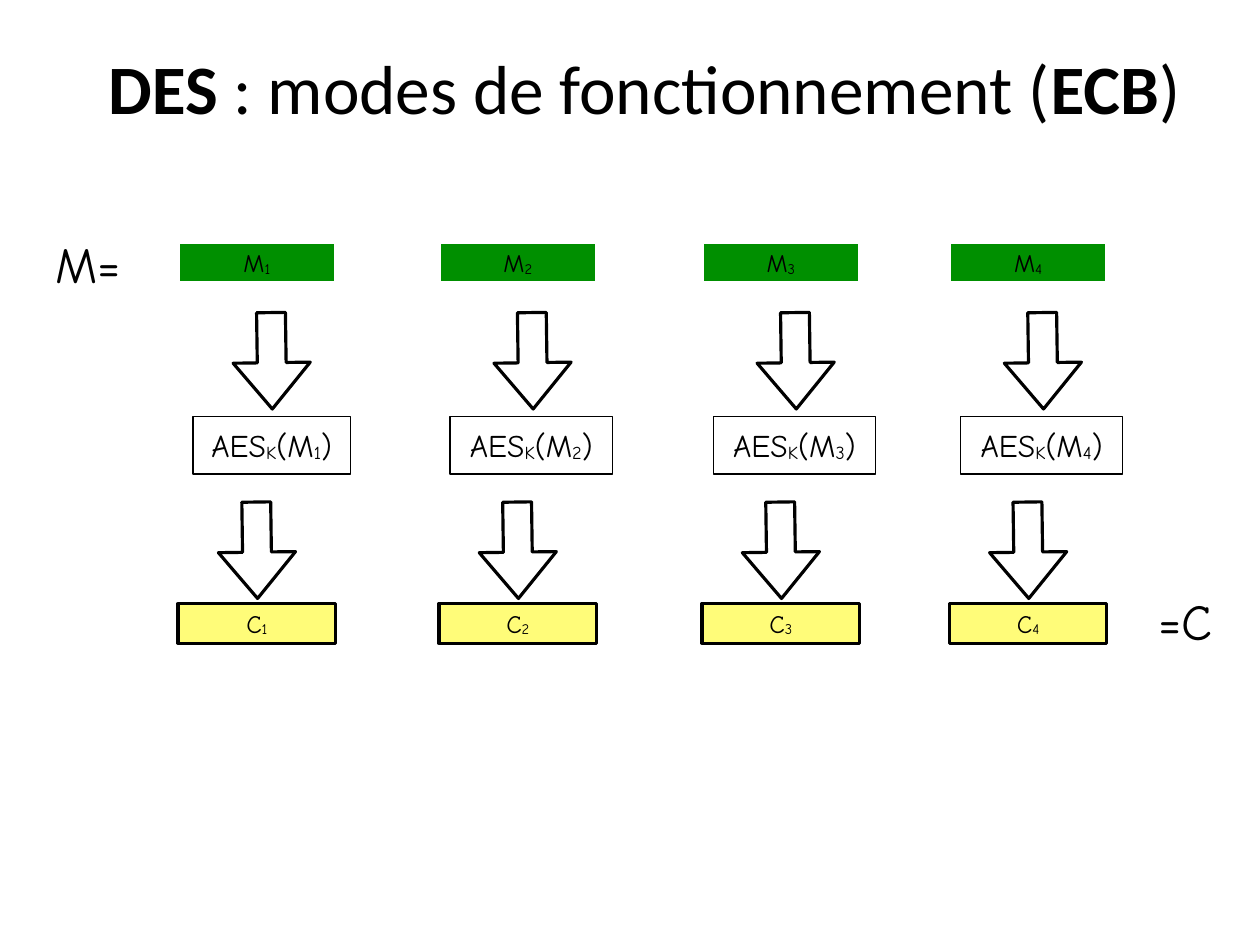
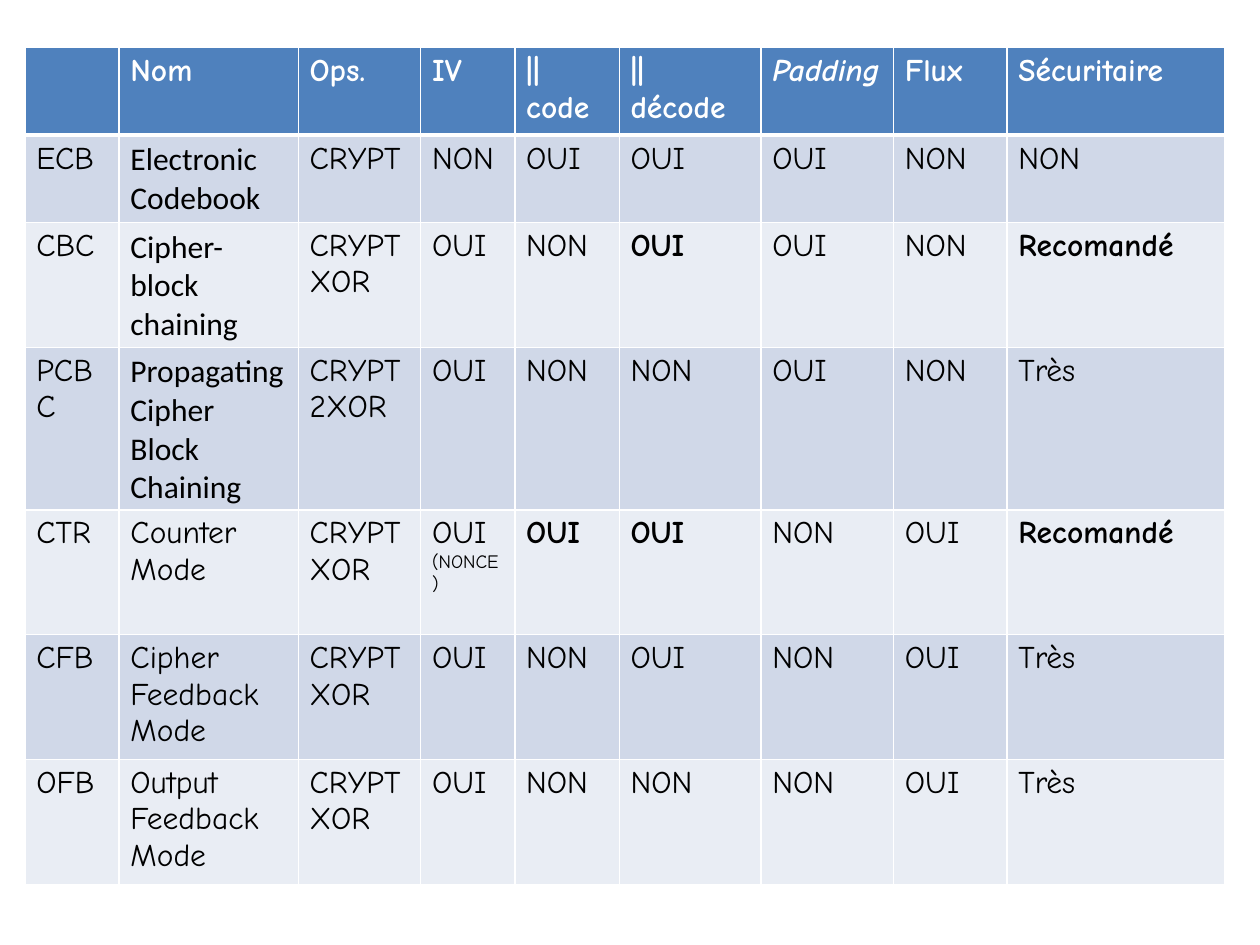
from lxml import etree
from pptx import Presentation
from pptx.dml.color import RGBColor
from pptx.enum.shapes import MSO_SHAPE
from pptx.enum.text import MSO_ANCHOR, PP_ALIGN
from pptx.oxml.ns import qn
from pptx.util import Inches, Pt

RECTANGLE = MSO_SHAPE.RECTANGLE
RIGHT_ARROW = MSO_SHAPE.RIGHT_ARROW
CENTER = PP_ALIGN.CENTER
MIDDLE = MSO_ANCHOR.MIDDLE
TITLE_ONLY, BLANK = 5, 6

COLORS = {
    "text": "000000",
    "white": "FFFFFF",
    "message": "008F00",
    "cipher": "FFFC79",
    "header": "4F81BD",
    "band_dark": "D0D8E8",
    "band_light": "E9EDF4",
}
TITLE_FONT, BODY_FONT = "Calibri", "Comic Neue"
BOLD = {"bold": True}
ITALIC = {"bold": True, "italic": True}
CALIBRI = {"font": TITLE_FONT}
SUB = {"subscript": True}


def color(name):
    return RGBColor.from_string(COLORS[name])


class Deck:
    """Holds the shared style and the slide being built."""

    def __init__(self, width, height):
        self.prs = Presentation()
        self.prs.slide_width = Inches(width)
        self.prs.slide_height = Inches(height)
        self.slide = None

    def new_slide(self, layout):
        self.slide = self.prs.slides.add_slide(self.prs.slide_layouts[layout])

    def style(self, run, size, ink="text", font=BODY_FONT, bold=False,
              italic=False, subscript=False):
        run.font.name = font
        run.font.size = Pt(size)
        run.font.bold = bold
        run.font.italic = italic
        run.font.color.rgb = color(ink)
        if subscript:
            run._r.get_or_add_rPr().set("baseline", "-6000")

    def add_runs(self, paragraph, pieces, size, **common):
        """Add (text, style) pieces to a paragraph as runs."""
        for text, extra in pieces:
            run = paragraph.add_run()
            run.text = text
            self.style(run, size, **{**common, **extra})

    def frame(self, text_frame, inset_x, inset_y):
        text_frame.margin_left = text_frame.margin_right = Inches(inset_x)
        text_frame.margin_top = text_frame.margin_bottom = Inches(inset_y)
        text_frame.vertical_anchor = MIDDLE
        text_frame.word_wrap = True
        text_frame.paragraphs[0].alignment = CENTER

    def title(self, pieces):
        title = self.slide.shapes.title
        title.left, title.top = Inches(0.36), Inches(0.18)
        title.width, title.height = Inches(10.64), Inches(1.17)
        self.frame(title.text_frame, 0.11, 0.06)
        self.add_runs(title.text_frame.paragraphs[0], pieces, 44, font=TITLE_FONT)

    def shape(self, kind, left, top, width, height, fill, line, line_width):
        shape = self.slide.shapes.add_shape(
            kind, Inches(left), Inches(top), Inches(width), Inches(height))
        shape.shadow.inherit = False
        if fill:
            shape.fill.solid()
            shape.fill.fore_color.rgb = color(fill)
        else:
            shape.fill.background()
        shape.line.color.rgb = color(line)
        shape.line.width = Pt(line_width)
        return shape

    def block(self, left, top, width, height, pieces, size, fill=None,
              line="text", line_width=2, inset=0):
        block = self.shape(RECTANGLE, left, top, width, height, fill, line, line_width)
        self.frame(block.text_frame, inset, inset)
        self.add_runs(block.text_frame.paragraphs[0], pieces, size)

    def down_arrow(self, left, top):
        arrow = self.shape(RIGHT_ARROW, left, top, 0.85, 0.68, None, "text", 2)
        arrow.rotation = 89.2
        arrow.adjustments[0] = 0.374
        arrow.adjustments[1] = 0.6

    def label(self, left, top, width, text):
        box = self.slide.shapes.add_textbox(
            Inches(left), Inches(top), Inches(width), Inches(0.64))
        box.text_frame.word_wrap = False
        paragraph = box.text_frame.paragraphs[0]
        paragraph.alignment = CENTER
        self.add_runs(paragraph, [(text, {})], 32)

    def border(self, cell, **widths):
        for side in ("L", "R", "T", "B"):
            line = etree.SubElement(cell._tc.get_or_add_tcPr(), qn(f"a:ln{side}"),
                                    w=str(Pt(widths.get(side, 1))))
            fill = etree.SubElement(line, qn("a:solidFill"))
            etree.SubElement(fill, qn("a:srgbClr"), val=COLORS["white"])

    def table(self, left, top, col_widths, row_heights, rows):
        """Draw rows whose cells are a text or a (text, style) pair."""
        table = self.slide.shapes.add_table(
            len(rows), len(col_widths), Inches(left), Inches(top),
            Inches(sum(col_widths)), Inches(sum(row_heights))).table
        table.horz_banding = False
        for column, width in zip(table.columns, col_widths):
            column.width = Inches(width)
        for r, (row, height) in enumerate(zip(rows, row_heights)):
            table.rows[r].height = Inches(height)
            band = "header" if r == 0 else "band_dark" if r % 2 else "band_light"
            ink = "white" if r == 0 else "text"
            for c, content in enumerate(row):
                cell = table.cell(r, c)
                self.border(cell, B=3 if r == 0 else 1, T=3 if r == 1 else 1)
                cell.fill.solid()
                cell.fill.fore_color.rgb = color(band)
                text, extra = (content, {}) if isinstance(content, str) else content
                cell.text_frame.text = text
                for paragraph in cell.text_frame.paragraphs:
                    for run in paragraph.runs:
                        self.style(run, 20, ink, **extra)
        return table


def ecb_slide(deck):
    deck.new_slide(TITLE_ONLY)
    deck.title([("DES", BOLD), (" : modes de fonctionnement (", {}),
                ("ECB", BOLD), (")", {})])
    # Left of the data block, then left and width of the AES block
    columns = [(1.57, 1.70, 1.39), (3.87, 3.97, 1.43),
               (6.19, 6.29, 1.43), (8.37, 8.47, 1.43)]
    for number, (left, aes_left, aes_width) in enumerate(columns, 1):
        index = (str(number), SUB)
        deck.block(left, 2.14, 1.39, 0.35, [("M", {}), index], 16,
                   fill="message", line="white")
        deck.down_arrow(left + 0.4, 2.84)
        deck.down_arrow(left + 0.27, 4.51)
        deck.block(left, 5.32, 1.39, 0.35, [("C", {}), index], 16, fill="cipher")
        deck.block(aes_left, 3.67, aes_width, 0.51,
                   [("AES", {}), ("K", SUB), ("(M", {}), index, (")", {})], 20,
                   line_width=1, inset=0.04)
    deck.label(0.36, 2.01, 0.84, "M=")
    deck.label(10.06, 5.15, 0.79, "=C")


def comparison_slide(deck):
    deck.new_slide(BLANK)
    header = [""] + [(name, BOLD) for name in (
        "Nom", "Ops.", "IV", "|| code", "|| décode", "Padding", "Flux", "Sécuritaire")]
    header[6] = ("Padding", ITALIC)
    strong_yes, advised = ("OUI", BOLD), ("Recomandé", BOLD)
    rows = [
        header,
        ["ECB", ("Electronic Codebook", CALIBRI), "CRYPT",
         "NON", "OUI", "OUI", "OUI", "NON", "NON"],
        ["CBC", ("Cipher-block chaining", CALIBRI), "CRYPT\nXOR",
         "OUI", "NON", strong_yes, "OUI", "NON", advised],
        ["PCBC", ("Propagating Cipher Block Chaining", CALIBRI), "CRYPT\n2XOR",
         "OUI", "NON", "NON", "OUI", "NON", "Très"],
        ["CTR", "Counter Mode", "CRYPT\nXOR",
         "OUI\n(NONCE)", strong_yes, strong_yes, "NON", "OUI", advised],
        ["CFB", "Cipher Feedback Mode", "CRYPT\nXOR",
         "OUI", "NON", "OUI", "NON", "OUI", "Très"],
        ["OFB", "Output Feedback Mode", "CRYPT\nXOR",
         "OUI", "NON", "NON", "NON", "OUI", "Très"],
    ]
    # PCBC wraps onto four lines, so its row is the tallest
    modes = deck.table(
        0.22, 0.42, [0.83, 1.58, 1.08, 0.83, 0.92, 1.25, 1.17, 1, 1.92],
        [0.77, 0.77, 1.1, 1.43, 1.1, 1.1, 1.1], rows)
    nonce = modes.cell(4, 3).text_frame.paragraphs[1]
    nonce.runs[0].font.size = Pt(12)


def main():
    deck = Deck(11.11, 8.33)
    ecb_slide(deck)
    comparison_slide(deck)
    deck.prs.save("out.pptx")


if __name__ == "__main__":
    main()
